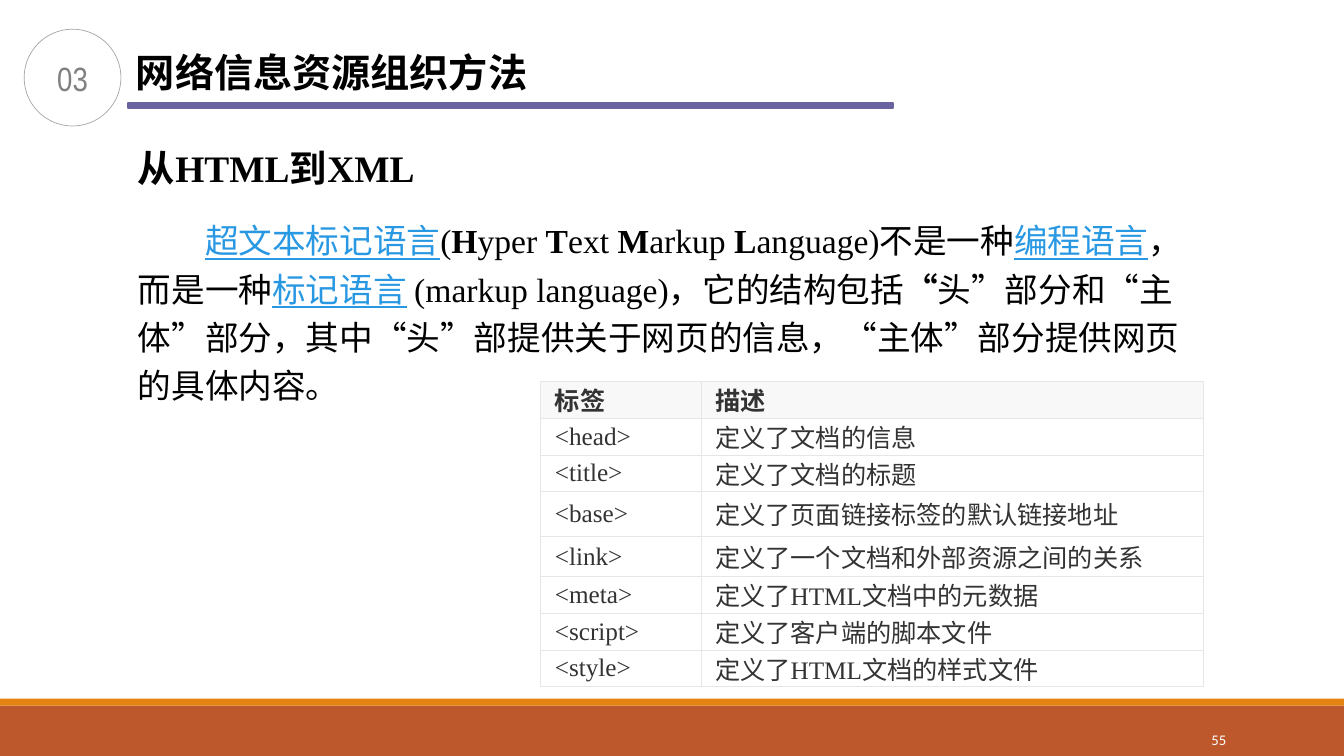
"""Build the slide on moving from HTML to XML, with its table of head tags."""
import pptx
import pptx.dml.color
import pptx.enum.shapes
import pptx.enum.text
import pptx.oxml
import pptx.oxml.ns
import pptx.util

Pt = pptx.util.Pt
SHAPES = pptx.enum.shapes.MSO_SHAPE
ALIGN = pptx.enum.text.PP_ALIGN
ANCHOR = pptx.enum.text.MSO_ANCHOR
CJK = "Noto Sans CJK SC"
SERIF = "Times New Roman"
COLORS = {
    "rust": "BD582C", "orange": "E48312", "purple": "6964A0", "ring": "A6A6A6",
    "number": "808080", "black": "000000", "white": "FFFFFF", "link": "2998E3",
    "cell_text": "333333", "border": "E6E6E6", "header": "F8F8F8",
}


def color(name):
    return pptx.dml.color.RGBColor.from_string(COLORS[name])


def add_text(paragraph, text, size=24, font=SERIF, ink="black", bold=False, underline=False):
    run = paragraph.add_run()
    run.text = text
    run.font.size = Pt(size)
    run.font.name = font
    run.font.bold = bold
    run.font.underline = underline
    run.font.color.rgb = color(ink)
    east_asian = pptx.oxml.parse_xml(
        f'<a:ea {pptx.oxml.ns.nsdecls("a")} typeface="{CJK}"/>')
    run.font._element.find(pptx.oxml.ns.qn("a:latin")).addnext(east_asian)


presentation = pptx.Presentation()
presentation.slide_width = Pt(960)
presentation.slide_height = Pt(540)
slide = presentation.slides.add_slide(presentation.slide_layouts[6])

for left, top, width, height, fill, line in [
    (0, 504, 960, 36, "rust", None),
    (0, 499, 960, 5, "orange", None),
    (91.4, 73.4, 546.5, 3.6, "purple", 1.25),
]:
    bar = slide.shapes.add_shape(SHAPES.RECTANGLE, Pt(left), Pt(top), Pt(width), Pt(height))
    bar.shadow.inherit = False
    bar.fill.solid()
    bar.fill.fore_color.rgb = color(fill)
    if line:
        bar.line.color.rgb = color(fill)
        bar.line.width = Pt(line)
    else:
        bar.line.fill.background()

circle = slide.shapes.add_shape(SHAPES.OVAL, Pt(17.3), Pt(20.9), Pt(69.1), Pt(69.1))
circle.shadow.inherit = False
circle.fill.background()
circle.line.color.rgb = color("ring")
circle.line.width = Pt(0.5)
circle.text_frame.vertical_anchor = ANCHOR.MIDDLE
circle.text_frame.paragraphs[0].alignment = ALIGN.CENTER
add_text(circle.text_frame.paragraphs[0], "03", font="Arial Narrow", ink="number")

page_box = slide.shapes.add_textbox(Pt(780), Pt(514), Pt(103), Pt(29))
page_box.text_frame.word_wrap = True
page_box.text_frame.vertical_anchor = ANCHOR.MIDDLE
page_box.text_frame.paragraphs[0].alignment = ALIGN.RIGHT
add_text(page_box.text_frame.paragraphs[0], "55", size=10.5, font="Calibri", ink="white")

title_box = slide.shapes.add_textbox(Pt(90), Pt(28.8), Pt(299), Pt(41))
title_box.text_frame.word_wrap = False
title = title_box.text_frame.paragraphs[0]
title.line_spacing = Pt(36)
add_text(title, "网络信息资源组织方法", size=28, font=CJK, bold=True)

body_box = slide.shapes.add_textbox(Pt(91.4), Pt(97.2), Pt(768), Pt(195))
body_box.text_frame.word_wrap = True
heading = body_box.text_frame.paragraphs[0]
heading.line_spacing = Pt(35)
add_text(heading, "从HTML到XML", size=26.7, bold=True)

body = body_box.text_frame.add_paragraph()
body.line_spacing = Pt(34.4)
body.space_before = Pt(16)
body._p.get_or_add_pPr().set("indent", str(Pt(48)))
link = {"ink": "link", "underline": True}
strong = {"bold": True}
for text, style in [
    ("超文本标记语言", link),
    ("(", {}),
    ("H", strong), ("yper ", {}),
    ("T", strong), ("ext ", {}),
    ("M", strong), ("arkup ", {}),
    ("L", strong), ("anguage)不是一种", {}),
    ("编程语言", link),
    ("，而是一种", {}),
    ("标记语言", link),
    (" (markup language)，它的结构包括", {}),
    ("“", strong),
    ("头”部分和“主体”部分，其中“头”部提供关于网页的信息，“主体”部分提供网页的具体内容。", {}),
]:
    add_text(body, text, **style)

tag_rows = [
    ("标签", "描述", 26.2),
    ("<head>", "定义了文档的信息", 26.2),
    ("<title>", "定义了文档的标题", 26.2),
    ("<base>", "定义了页面链接标签的默认链接地址", 32),
    ("<link>", "定义了一个文档和外部资源之间的关系", 28.8),
    ("<meta>", "定义了HTML文档中的元数据", 26.2),
    ("<script>", "定义了客户端的脚本文件", 26.2),
    ("<style>", "定义了HTML文档的样式文件", 26.2),
]
table_height = sum(height for _, _, height in tag_rows)
table = slide.shapes.add_table(
    len(tag_rows), 2, Pt(386.4), Pt(272.6), Pt(473), Pt(table_height)).table
table.horz_banding = False
table.columns[0].width = Pt(114.4)
table.columns[1].width = Pt(358.6)
for row, (tag, description, height) in enumerate(tag_rows):
    table.rows[row].height = Pt(height)
    for column, text in enumerate((tag, description)):
        cell = table.cell(row, column)
        chinese = row == 0 or column == 1
        cell.vertical_anchor = ANCHOR.MIDDLE
        cell.margin_left = cell.margin_right = Pt(10)
        cell.margin_top = Pt(2.2)
        cell.margin_bottom = Pt(0 if chinese else 2.2)
        for side in ("lnL", "lnR", "lnT", "lnB"):
            cell._tc.get_or_add_tcPr().append(pptx.oxml.parse_xml(
                f'<a:{side} {pptx.oxml.ns.nsdecls("a")} w="{Pt(0.75)}"><a:solidFill>'
                f'<a:srgbClr val="{COLORS["border"]}"/></a:solidFill></a:{side}>'))
        cell.fill.solid()
        cell.fill.fore_color.rgb = color("white" if row else "header")
        paragraph = cell.text_frame.paragraphs[0]
        if chinese:
            paragraph.line_spacing = Pt(23.5)
        add_text(paragraph, text, size=18, ink="cell_text", bold=row == 0)

presentation.save("out.pptx")
